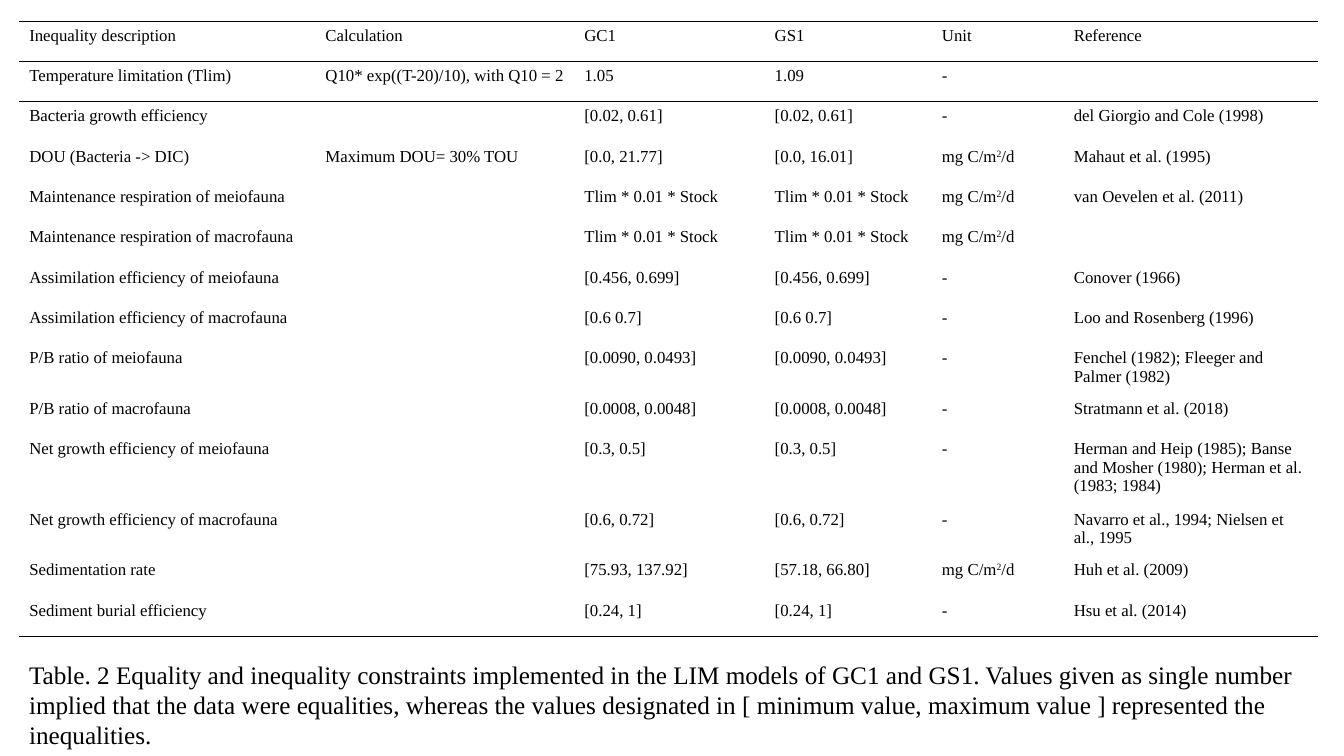
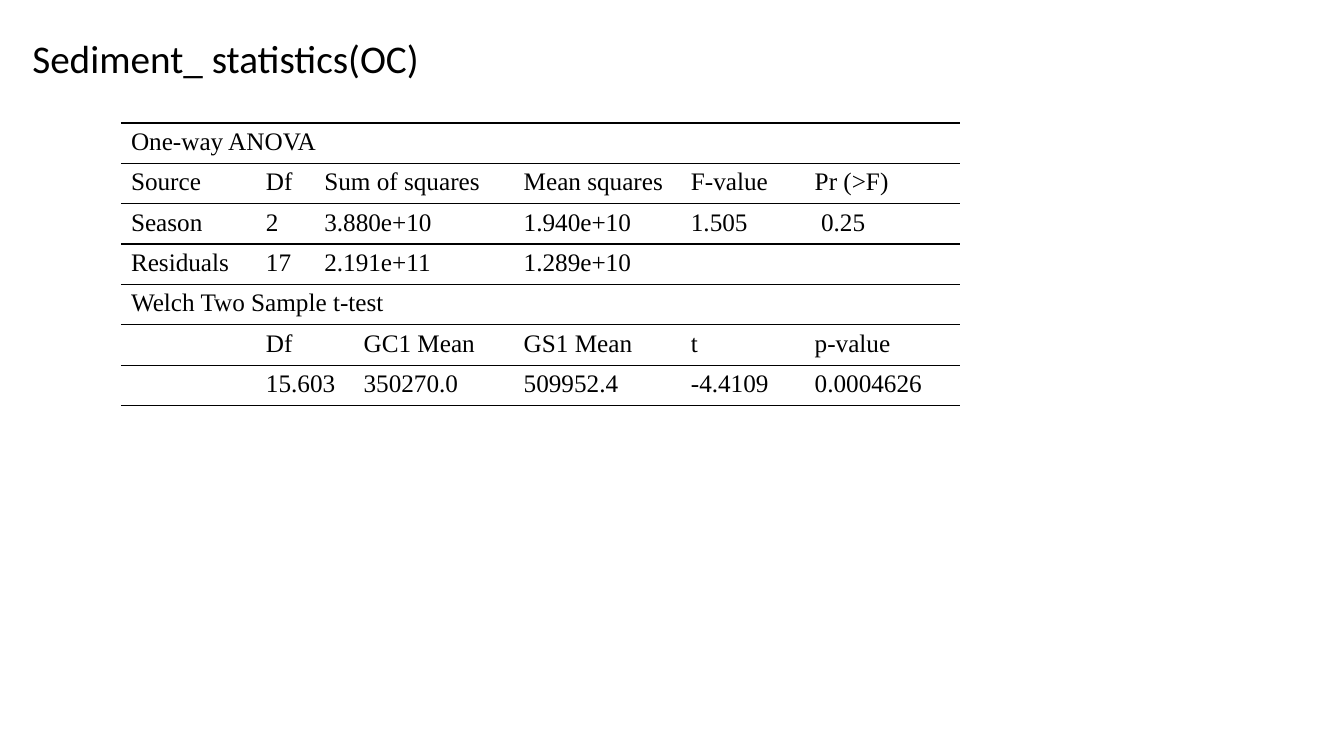
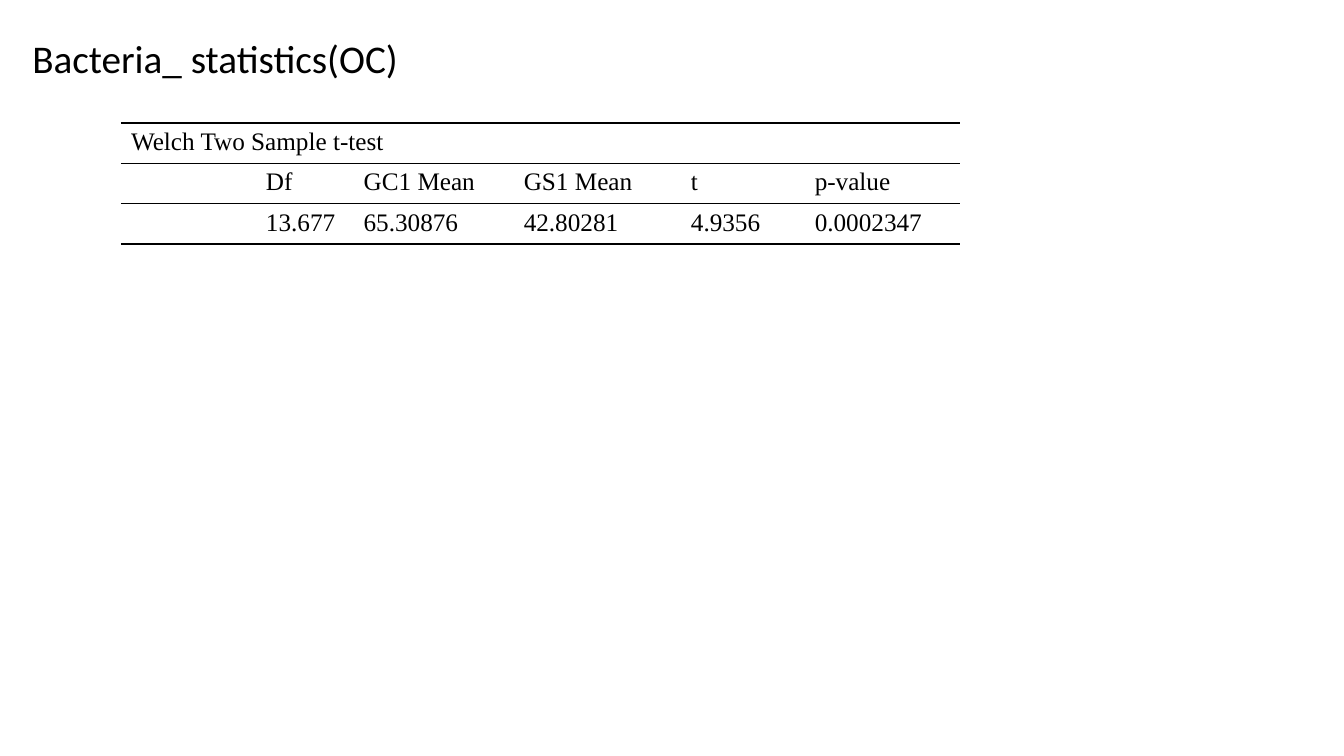
"""Build three slides of model constraints and sediment statistics tables."""
from dataclasses import dataclass

from lxml import etree
from pptx import Presentation
from pptx import util as u
from pptx.dml.color import RGBColor
from pptx.enum import text
from pptx.oxml import ns

SLIDE_WIDTH, SLIDE_HEIGHT = u.Inches(13.33), u.Inches(7.5)
COLOURS = {"ink": "000000", "paper": "FFFFFF"}
SERIF, SANS = "Times New Roman", "Calibri"
PLAIN_GRID = "{2D5ABB26-0587-4C30-8999-92F81FD0307C}"
ROW_SHARE = 5.33
RULE_WIDTH = u.Pt(1)
FRAME_FORMAT = {
    "vertical_anchor": text.MSO_ANCHOR.TOP,
    "margin_left": u.Inches(0.1),
    "margin_right": u.Inches(0.1),
    "margin_top": u.Inches(0.05),
    "margin_bottom": u.Inches(0.05),
}


@dataclass(frozen=True)
class Area:
    """Place on the slide in percent of its width and height."""
    left: float
    top: float
    width: float
    height: float

    def box(self) -> tuple[int, int, int, int]:
        """Return left, top, width and height as lengths."""
        return (across(self.left), down(self.top),
                across(self.width), down(self.height))


@dataclass(frozen=True)
class RuledTable:
    """Table with horizontal rules; None joins a cell to the one on its left."""
    left: float
    top: float
    width: float
    column_weights: tuple
    rows: list
    rules: set
    size: int


@dataclass(frozen=True)
class StatisticsSlide:
    """Title with its width and the table below it."""
    title: str
    title_width: float
    results: RuledTable


def across(share: float) -> int:
    """Turn a percentage of the slide width into a length."""
    return round(SLIDE_WIDTH * share / 100)


def down(share: float) -> int:
    """Turn a percentage of the slide height into a length."""
    return round(SLIDE_HEIGHT * share / 100)


def apply(target, formats: dict) -> None:
    """Set every attribute in the dict on the target."""
    for attribute, value in formats.items():
        setattr(target, attribute, value)


def write(paragraph, words: str, family: str, size: int) -> None:
    """Write words as runs; parts between carets are raised."""
    paragraph.alignment = text.PP_ALIGN.LEFT
    for position, part in enumerate(words.split("^")):
        run = paragraph.add_run()
        run.text = part
        apply(run.font, {"name": family, "size": u.Pt(size), "bold": False})
        run.font.color.rgb = RGBColor.from_string(COLOURS["ink"])
        if position % 2:
            run.font._element.set("baseline", "30000")


def rule(cell, edge: str) -> None:
    """Draw a rule on one edge of a cell."""
    line = etree.SubElement(cell._tc.get_or_add_tcPr(), ns.qn(f"a:{edge}"),
                            w=str(RULE_WIDTH))
    fill = etree.SubElement(line, ns.qn("a:solidFill"))
    etree.SubElement(fill, ns.qn("a:srgbClr"), val=COLOURS["ink"])


def draw_table(slide, design: RuledTable) -> None:
    """Draw a ruled table with its joined cells."""
    row_count, column_count = len(design.rows), len(design.column_weights)
    area = Area(design.left, design.top, design.width, ROW_SHARE * row_count)
    table = slide.shapes.add_table(row_count, column_count, *area.box()).table
    apply(table, {"first_row": False, "horz_banding": False})
    table._tbl.tblPr.find(ns.qn("a:tableStyleId")).text = PLAIN_GRID
    for column, weight in zip(table.columns, design.column_weights):
        column.width = across(design.width * weight / sum(design.column_weights))
    for r, entries in enumerate(design.rows):
        table.rows[r].height = down(ROW_SHARE)
        for c, words in enumerate(entries):
            cell = table.cell(r, c)
            if r in design.rules:
                rule(cell, "lnT")
            if r + 1 in design.rules:
                rule(cell, "lnB")
            cell.fill.background()
            if words:
                write(cell.text_frame.paragraphs[0], words, SERIF, design.size)
            if words is not None:
                end = c
                while end + 1 < column_count and entries[end + 1] is None:
                    end += 1
                if end > c:
                    cell.merge(table.cell(r, end))


def add_slide(deck, layout: int):
    """Add a slide on the shared background."""
    slide = deck.slides.add_slide(deck.slide_layouts[layout])
    slide.background.fill.solid()
    slide.background.fill.fore_color.rgb = RGBColor.from_string(COLOURS["paper"])
    return slide


def draw_statistics(deck, design: StatisticsSlide) -> None:
    """Add a slide with a title and a statistics table."""
    slide = add_slide(deck, 5)
    title = slide.shapes.title
    area = Area(1.65, 3.87, design.title_width, 7.6)
    apply(title, dict(zip(("left", "top", "width", "height"), area.box())))
    apply(title.text_frame, FRAME_FORMAT | {
        "word_wrap": False, "auto_size": text.MSO_AUTO_SIZE.SHAPE_TO_FIT_TEXT})
    write(title.text_frame.paragraphs[0], design.title, SANS, 28)
    draw_table(slide, design.results)


def draw_constraints(deck) -> None:
    """Add the slide with the constraints table and its caption."""
    slide = add_slide(deck, 6)
    caption = slide.shapes.add_textbox(*Area(1.43, 86.53, 96.62, 13.47).box())
    apply(caption.text_frame, FRAME_FORMAT | {"word_wrap": True})
    write(caption.text_frame.paragraphs[0], CAPTION, SERIF, 18)
    draw_table(slide, CONSTRAINTS)


CAPTION = (
    "Table. 2 Equality and inequality constraints implemented in the LIM models "
    "of GC1 and GS1. Values given as single number implied that the data were "
    "equalities, whereas the values designated in [ minimum value, maximum "
    "value ] represented the inequalities."
)
FLUX = "mg C/m^2^/d"
UPKEEP = "Tlim * 0.01 * Stock"
CONSTRAINTS = RuledTable(
    1.43, 2.8, 96.62, (2.94, 2.57, 1.89, 1.66, 1.31, 2.52),
    [
        ["Inequality description", "Calculation", "GC1", "GS1", "Unit", "Reference"],
        ["Temperature limitation (Tlim)", "Q10* exp((T-20)/10), with Q10 = 2",
         "1.05", "1.09", "-", ""],
        ["Bacteria growth efficiency", "", "[0.02, 0.61]", "[0.02, 0.61]", "-",
         "del Giorgio and Cole (1998)"],
        ["DOU (Bacteria -> DIC)", "Maximum DOU= 30% TOU", "[0.0, 21.77]",
         "[0.0, 16.01]", FLUX, "Mahaut et al. (1995)"],
        ["Maintenance respiration of meiofauna", "", UPKEEP, UPKEEP, FLUX,
         "van Oevelen et al. (2011)"],
        ["Maintenance respiration of macrofauna", "", UPKEEP, UPKEEP, FLUX, ""],
        ["Assimilation efficiency of meiofauna", "", "[0.456, 0.699]",
         "[0.456, 0.699]", "-", "Conover (1966)"],
        ["Assimilation efficiency of macrofauna", "", "[0.6 0.7]", "[0.6 0.7]",
         "-", "Loo and Rosenberg (1996)"],
        ["P/B ratio of meiofauna", "", "[0.0090, 0.0493]", "[0.0090, 0.0493]",
         "-", "Fenchel (1982); Fleeger and Palmer (1982)"],
        ["P/B ratio of macrofauna", "", "[0.0008, 0.0048]", "[0.0008, 0.0048]",
         "-", "Stratmann et al. (2018)"],
        ["Net growth efficiency of meiofauna", "", "[0.3, 0.5]", "[0.3, 0.5]", "-",
         "Herman and Heip (1985); Banse and Mosher (1980); "
         "Herman et al. (1983; 1984)"],
        ["Net growth efficiency of macrofauna", "", "[0.6, 0.72]", "[0.6, 0.72]",
         "-", "Navarro et al., 1994; Nielsen et al., 1995"],
        ["Sedimentation rate", "", "[75.93, 137.92]", "[57.18, 66.80]", FLUX,
         "Huh et al. (2009)"],
        ["Sediment burial efficiency", "", "[0.24, 1]", "[0.24, 1]", "-",
         "Hsu et al. (2014)"],
    ],
    {0, 1, 14}, 12)

WELCH = "Welch Two Sample t-test"
STATISTICS = [
    StatisticsSlide("Sediment_ statistics(OC)", 30.6, RuledTable(
        9, 16.27, 62.42, (1.34, 0.58, 0.39, 1.59, 1.66, 1.23, 1.54),
        [
            ["One-way ANOVA"] + [None] * 6,
            ["Source", "Df", "Sum of squares", None, "Mean squares", "F-value",
             "Pr (>F)"],
            ["Season", "2", "3.880e+10", None, "1.940e+10", "1.505", " 0.25"],
            ["Residuals", "17", "2.191e+11", None, "1.289e+10", "", ""],
            [WELCH] + [None] * 6,
            ["", "Df", None, "GC1 Mean", "GS1 Mean", "t", "p-value"],
            ["", "15.603", None, "350270.0", "509952.4", "-4.4109", "0.0004626"],
        ],
        {0, 1, 2, 4, 5, 6, 7}, 18)),
    StatisticsSlide("Bacteria_ statistics(OC)", 29.63, RuledTable(
        9, 16.27, 62.42, (1.34, 0.97, 1.59, 1.66, 1.23, 1.54),
        [
            [WELCH] + [None] * 5,
            ["", "Df", "GC1 Mean", "GS1 Mean", "t", "p-value"],
            ["", "13.677", "65.30876", "42.80281", "4.9356", "0.0002347"],
        ],
        {0, 1, 2, 3}, 18)),
]


def main() -> None:
    """Build and save the deck."""
    deck = Presentation()
    apply(deck, {"slide_width": SLIDE_WIDTH, "slide_height": SLIDE_HEIGHT})
    draw_constraints(deck)
    for design in STATISTICS:
        draw_statistics(deck, design)
    deck.save("out.pptx")


if __name__ == "__main__":
    main()
